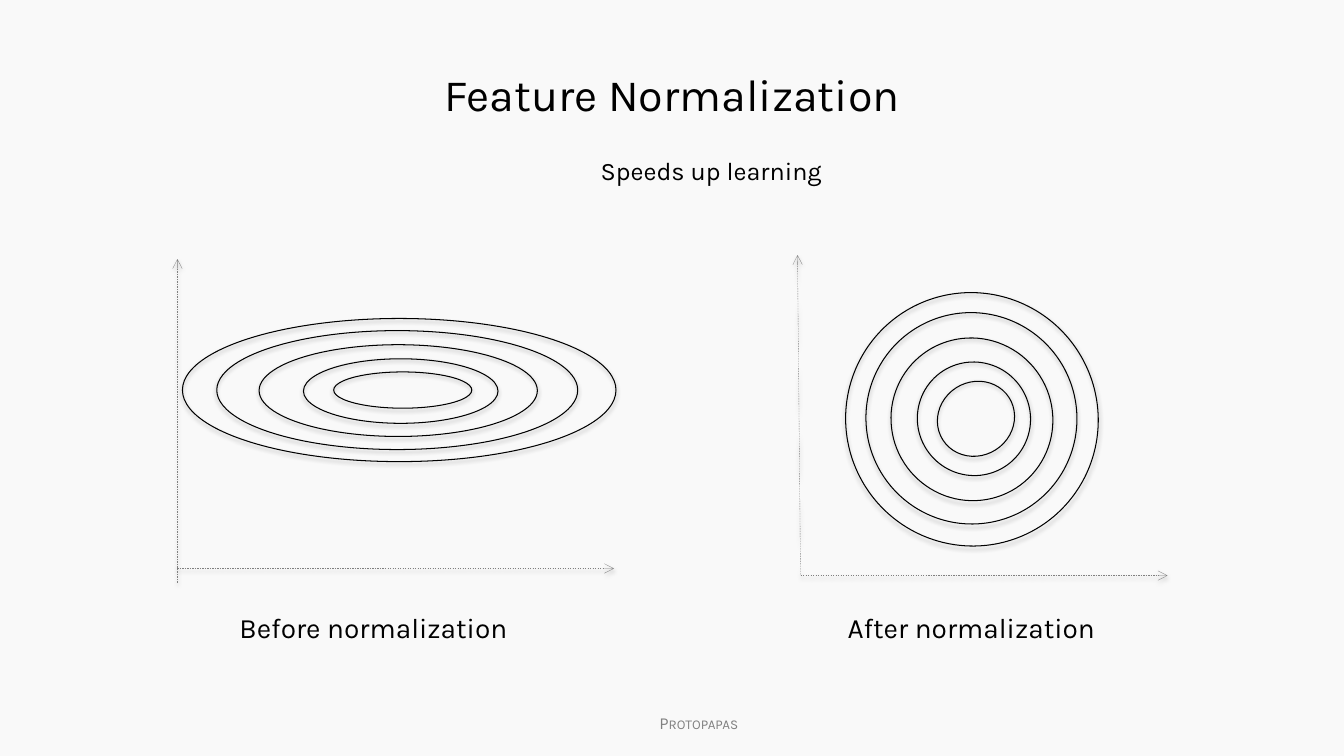
from dataclasses import dataclass

import pptx
import pptx.dml.color
import pptx.enum.dml
import pptx.enum.shapes
import pptx.enum.text
import pptx.oxml
import pptx.oxml.ns
import pptx.util

COLORS = {"paper": "F9F9F9", "ink": "000000", "axis": "808080"}
FONT = "Karla"
CELL = 0.1
CENTER = pptx.enum.text.PP_ALIGN.CENTER
LEFT = pptx.enum.text.PP_ALIGN.LEFT
TOP = pptx.enum.text.MSO_ANCHOR.TOP
MIDDLE = pptx.enum.text.MSO_ANCHOR.MIDDLE


@dataclass
class Label:
    text: str
    col: float
    row: float
    cols: float
    rows: float
    size: int
    color: str = "ink"
    align: pptx.enum.text.PP_ALIGN = CENTER
    anchor: pptx.enum.text.MSO_ANCHOR = TOP
    wrap: bool = True
    small_caps: bool = False


@dataclass
class Ring:
    col: float
    row: float
    cols: float
    rows: float


@dataclass
class Axis:
    start: tuple[float, float]
    end: tuple[float, float]


@dataclass
class Plot:
    rings: list[Ring]
    axes: list[Axis]
    rotation: float


TITLE = Label("Feature Normalization", 6.7, 6.1, 120, 8.4, 32)
LABELS = [
    Label("Protopapas", 48.2, 69.7, 42.2, 4, 12, "axis", anchor=MIDDLE, small_caps=True),
    Label("Before normalization", 18.8, 60.1, 36.5, 4.4, 20),
    Label("After normalization", 78.1, 60.1, 36.5, 4.4, 20),
    Label("Speeds up learning", 58.6, 14.9, 24.1, 4, 18, align=LEFT, wrap=False),
]
PLOTS = [
    Plot(
        [
            Ring(39.95, 38.7, 13.7, 3.6),
            Ring(39.75, 38.8, 19.3, 6.4),
            Ring(39.5, 38.75, 27.6, 9.1),
            Ring(39.4, 38.7, 35.8, 11.8),
            Ring(39.6, 38.7, 43, 14.2),
        ],
        [Axis((17.6, 56.4), (60.9, 56.4)), Axis((17.6, 57.8), (17.6, 25.7))],
        0,
    ),
    Plot(
        [
            Ring(96.8, 41.55, 7.8, 7.3),
            Ring(96.6, 41.55, 11.2, 11.3),
            Ring(96.4, 41.6, 16, 16.2),
            Ring(96.35, 41.5, 20.9, 21),
            Ring(96.4, 41.6, 25, 25.2),
        ],
        [Axis((79.4, 57.1), (115.8, 57.1)), Axis((79.4, 57), (79.1, 25.3))],
        327.2,
    ),
]


def cells(count: float) -> pptx.util.Length:
    return pptx.util.Inches(count * CELL)


def rgb(name: str) -> pptx.dml.color.RGBColor:
    return pptx.dml.color.RGBColor.from_string(COLORS[name])


def add_shadow(sp) -> None:
    sp._element.spPr.append(pptx.oxml.parse_xml(
        f'<a:effectLst {pptx.oxml.ns.nsdecls("a")}>'
        f'<a:outerShdw blurRad="{pptx.util.Pt(3.1)}" dist="{pptx.util.Pt(1.8)}" '
        'dir="5400000" rotWithShape="0">'
        f'<a:srgbClr val="{COLORS["ink"]}"><a:alpha val="35000"/></a:srgbClr>'
        '</a:outerShdw></a:effectLst>'
    ))


def write_label(sp, label: Label) -> None:
    sp.left, sp.top = cells(label.col), cells(label.row)
    sp.width, sp.height = cells(label.cols), cells(label.rows)
    tf = sp.text_frame
    tf.word_wrap = label.wrap
    tf.vertical_anchor = label.anchor
    p = tf.paragraphs[0]
    p.alignment = label.align
    r = p.add_run()
    r.text = label.text
    r.font.name = FONT
    r.font.size = pptx.util.Pt(label.size)
    r.font.color.rgb = rgb(label.color)
    if label.small_caps:
        r.font._element.set("cap", "small")


def draw_ring(group, ring: Ring, rotation: float) -> None:
    sp = group.shapes.add_shape(
        pptx.enum.shapes.MSO_SHAPE.OVAL,
        cells(ring.col - ring.cols / 2), cells(ring.row - ring.rows / 2),
        cells(ring.cols), cells(ring.rows),
    )
    sp.rotation = rotation
    sp.fill.background()
    sp.line.color.rgb = rgb("ink")
    sp.line.width = pptx.util.Pt(0.75)
    add_shadow(sp)


def draw_axis(group, axis: Axis) -> None:
    sp = group.shapes.add_connector(
        pptx.enum.shapes.MSO_CONNECTOR.STRAIGHT,
        *map(cells, axis.start + axis.end),
    )
    sp.line.color.rgb = rgb("axis")
    sp.line.width = pptx.util.Pt(0.25)
    sp.line.dash_style = pptx.enum.dml.MSO_LINE.DASH
    sp.line._get_or_add_ln().append(pptx.oxml.parse_xml(
        f'<a:tailEnd {pptx.oxml.ns.nsdecls("a")} type="arrow"/>'
    ))
    add_shadow(sp)


def draw_plot(s, plot: Plot) -> None:
    group = s.shapes.add_group_shape()
    for ring in plot.rings:
        draw_ring(group, ring, plot.rotation)
    for axis in plot.axes:
        draw_axis(group, axis)


def main() -> None:
    prs = pptx.Presentation()
    prs.slide_width = pptx.util.Inches(13.33)
    prs.slide_height = pptx.util.Inches(7.5)
    s = prs.slides.add_slide(prs.slide_layouts[5])
    s.background.fill.solid()
    s.background.fill.fore_color.rgb = rgb("paper")
    write_label(s.shapes.title, TITLE)
    for plot in PLOTS:
        draw_plot(s, plot)
    for label in LABELS:
        write_label(s.shapes.add_textbox(0, 0, 0, 0), label)
    prs.save("out.pptx")


if __name__ == "__main__":
    main()
